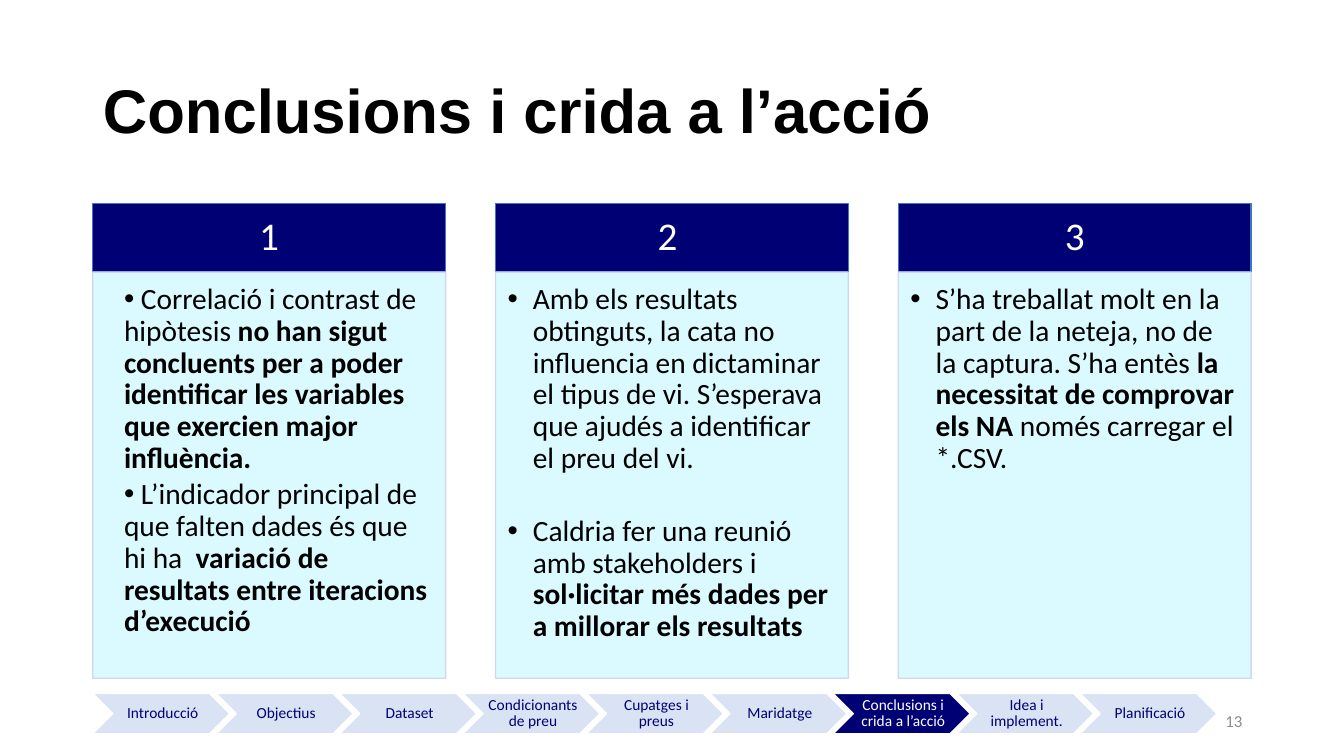
from lxml.etree import SubElement
from pptx import Presentation
from pptx.dml.color import RGBColor
from pptx.enum.shapes import MSO_SHAPE as Shape
from pptx.enum.text import MSO_ANCHOR as Anchor, PP_ALIGN as Align
from pptx.oxml.ns import qn
from pptx.util import Inches, Pt

NAVY, WHITE, BLACK = "000075", "FFFFFF", "000000"
LEFT = 0.92
COLUMN_WIDTH, COLUMN_STEP = 3.5, 3.995
STEP_WIDTH = 1.36
STEP_PITCH = STEP_WIDTH * 0.9

# Each column: heading, left margin, first-line indent, bullets of (text, bold) spans
COLUMNS = [
    ("1", 0.19, 0, [
        [(" Correlació i contrast de hipòtesis ", False),
         ("no han sigut concluents per a poder identificar les variables "
          "que exercien major influència.", True)],
        [(" L’indicador principal de que falten dades és que hi ha  ", False),
         ("variació de resultats entre iteracions d’execució", True)],
    ]),
    ("2 ", 0.25, -0.25, [
        [("Amb els resultats obtinguts, la cata no influencia en dictaminar el tipus "
          "de vi. S’esperava que ajudés a identificar el preu del vi.", False)],
        [("Caldria fer una reunió amb stakeholders i ", False),
         ("sol·licitar més dades per a millorar els resultats", True)],
    ]),
    ("3", 0.25, -0.25, [
        [("S’ha treballat molt en la part de la neteja, no de la captura. S’ha entès ", False),
         ("la necessitat de comprovar els NA", True),
         (" només carregar el *.CSV.", False)],
    ]),
]
STEPS = ["Introducció", "Objectius", "Dataset", "Condicionants de preu", "Cupatges i preus",
         "Maridatge", "Conclusions i crida a l’acció", "Idea i implement.", "Planificació"]
CURRENT_STEP = 6


def color(value):
    return RGBColor.from_string(value)


def set_font(para, size, value, name="Calibri", bold=None):
    para.font.size = Pt(size)
    para.font.name = name
    para.font.color.rgb = color(value)
    para.font.bold = bold


def set_frame(frame, insets, anchor):
    frame.word_wrap = True
    frame.vertical_anchor = anchor
    (frame.margin_left, frame.margin_top,
     frame.margin_right, frame.margin_bottom) = map(Inches, insets)


def add_box(page, kind, place, fill, line):
    box = page.shapes.add_shape(kind, *map(Inches, place))
    box.shadow.inherit = False
    box.fill.solid()
    box.fill.fore_color.rgb = color(fill)
    box.line.color.rgb = color(line)
    box.line.width = Pt(1)
    return box


def add_label(box, text, size, value, insets):
    set_frame(box.text_frame, insets, Anchor.MIDDLE)
    para = box.text_frame.paragraphs[0]
    para.text = text
    para.alignment = Align.CENTER
    para.line_spacing = 0.9
    set_font(para, size, value)


def set_opacity(box, percent):
    for tint in box._element.spPr.iter(qn("a:srgbClr")):
        SubElement(tint, qn("a:alpha"), val=str(percent * 1000))


def set_bullet(para, margin, indent):
    properties = para._p.get_or_add_pPr()
    properties.set("marL", str(Inches(margin)))
    properties.set("indent", str(Inches(indent)))
    SubElement(properties, qn("a:buFont"), typeface="Arial")
    SubElement(properties, qn("a:buChar"), char="•")


def add_bullets(box, bullets, margin, indent):
    frame = box.text_frame
    set_frame(frame, (0.12, 0.12, 0.16, 0.18), Anchor.TOP)
    for index, spans in enumerate(bullets):
        para = frame.add_paragraph() if index else frame.paragraphs[0]
        para.alignment = Align.LEFT
        para.line_spacing = 0.9
        para.space_after = Pt(3.5)
        if index and indent:
            para.space_before = Pt(26)
        set_bullet(para, margin, indent)
        set_font(para, 21, BLACK)
        for text, bold in spans:
            span = para.add_run()
            span.text = text
            span.font.bold = bold


def add_column(page, left, heading, margin, indent, bullets):
    header = add_box(page, Shape.RECTANGLE, (left, 2.02, COLUMN_WIDTH, 0.68), NAVY, "4472C4")
    add_label(header, heading, 28, WHITE, (0.22, 0.12, 0.22, 0.12))
    body = add_box(page, Shape.RECTANGLE, (left, 2.7, COLUMN_WIDTH, 4.03), "D6FAFF", "CFD5EA")
    set_opacity(body, 90)
    add_bullets(body, bullets, margin, indent)


def add_step(page, index, text):
    current = index == CURRENT_STEP
    fill = NAVY if current else "DAE3F3"
    place = (LEFT + index * STEP_PITCH, 6.88, STEP_WIDTH, 0.4)
    step = add_box(page, Shape.CHEVRON, place, fill, WHITE)
    add_label(step, text, 11, WHITE if current else NAVY, (0.05, 0.02, 0.02, 0.02))


def add_title(page, text):
    title = page.shapes.title
    title.left, title.top, title.width, title.height = map(Inches, (LEFT, 0.4, 11.5, 1.45))
    set_frame(title.text_frame, (0.1, 0.05, 0.1, 0.05), Anchor.MIDDLE)
    para = title.text_frame.paragraphs[0]
    para.text = text
    para.alignment = Align.LEFT
    para.line_spacing = 0.9
    set_font(para, 44, BLACK, "Arial", True)


def add_page_number(page, number):
    box = page.shapes.add_textbox(*map(Inches, (9.42, 6.95, 3, 0.4)))
    set_frame(box.text_frame, (0.1, 0.05, 0.1, 0.05), Anchor.MIDDLE)
    para = box.text_frame.paragraphs[0]
    para.text = number
    para.alignment = Align.RIGHT
    set_font(para, 12, "8C8C8C")


def main():
    deck = Presentation()
    deck.slide_width, deck.slide_height = Inches(13.33), Inches(7.5)
    page = deck.slides.add_slide(deck.slide_layouts[5])
    add_title(page, "Conclusions i crida a l’acció")
    for index, column in enumerate(COLUMNS):
        add_column(page, LEFT + index * COLUMN_STEP, *column)
    add_page_number(page, "13")
    for index, text in enumerate(STEPS):
        add_step(page, index, text)
    deck.save("out.pptx")


if __name__ == "__main__":
    main()
